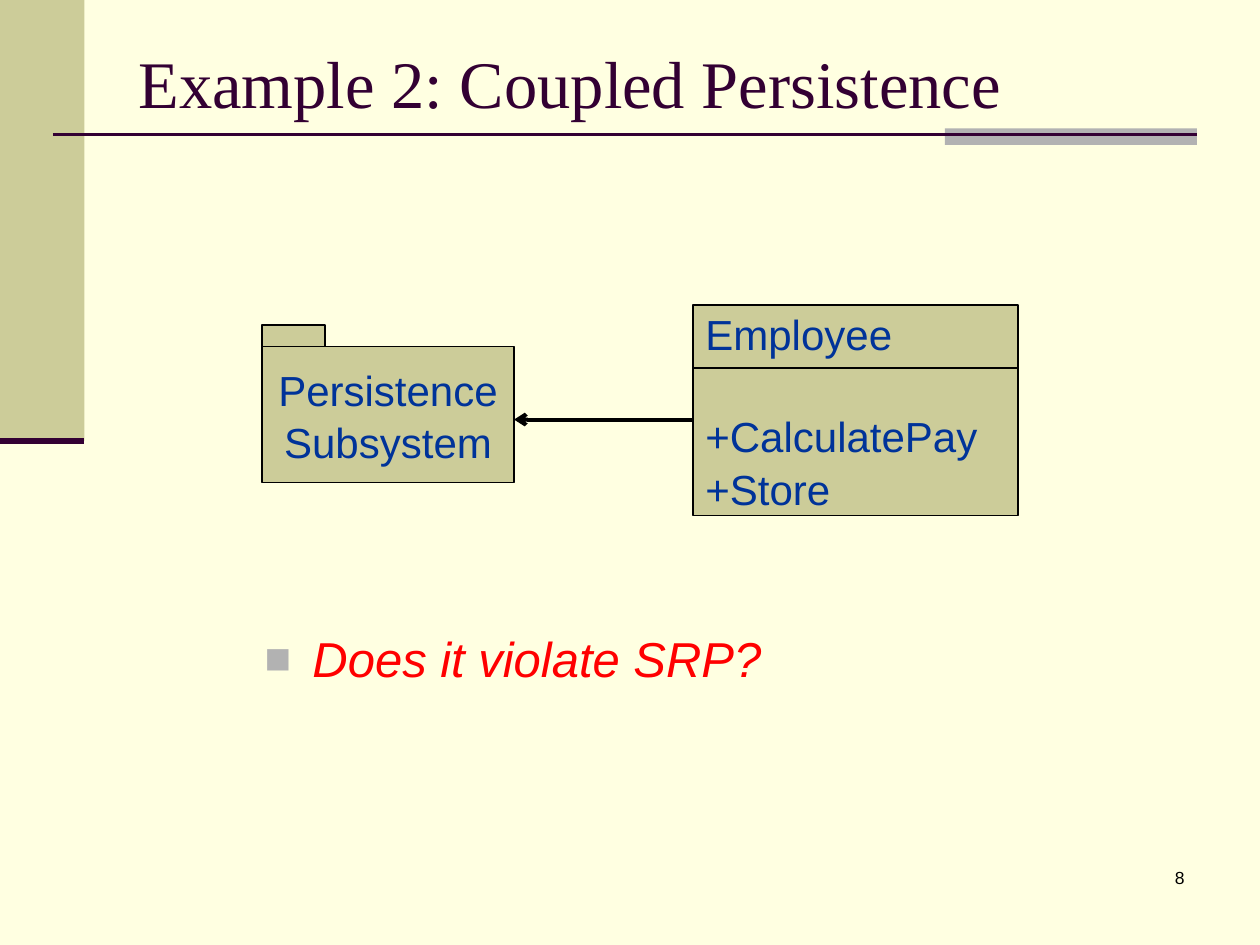
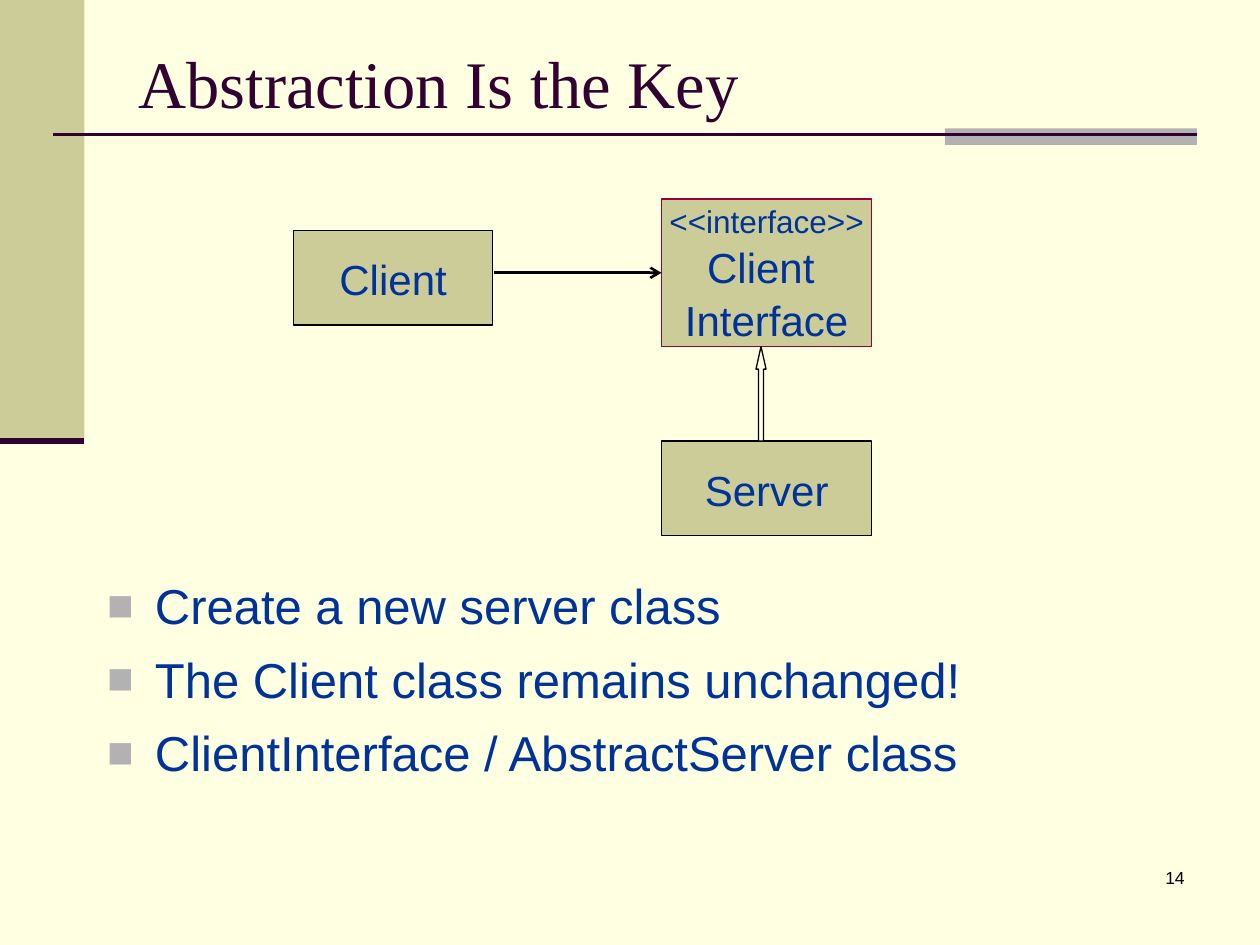
"""Build two slides on class responsibilities and abstraction."""
from lxml.etree import SubElement
from pptx import Presentation
from pptx.dml.color import RGBColor
from pptx.enum.shapes import MSO_CONNECTOR as Connector, MSO_SHAPE as Shape
from pptx.enum.text import MSO_ANCHOR as Anchor, MSO_AUTO_SIZE as AutoSize, PP_ALIGN as Align
from pptx.oxml.ns import qn
from pptx.util import Inches, Pt

CREAM, KHAKI, GREY, PLUM = "FFFFE1", "CCCC99", "B2B2B2", "330033"
BLUE, RED, CRIMSON, BLACK = "003399", "FF0000", "990033", "000000"
LINE_SPACING = 1.04


def color(value):
    """Turn a hex string into a colour."""
    return RGBColor.from_string(value)


def apply_format(target, **values):
    """Set each named attribute on the target."""
    for name, value in values.items():
        setattr(target, name, value)


def style_font(font, size, ink, name="Arial", italic=False):
    """Give a font its face, size and colour."""
    apply_format(font, name=name, size=Pt(size), italic=italic, bold=False)
    font.color.rgb = color(ink)


def place(shape, left, top, width, height):
    """Move and size a shape in inches."""
    apply_format(shape, left=Inches(left), top=Inches(top),
                 width=Inches(width), height=Inches(height))


def add_block(page, area, fill, outline=None, kind=Shape.RECTANGLE):
    """Add a flat shape with an optional thin outline."""
    block = page.shapes.add_shape(kind, *map(Inches, area))
    block.shadow.inherit = False
    block.fill.solid()
    block.fill.fore_color.rgb = color(fill)
    if outline:
        block.line.color.rgb = color(outline)
        block.line.width = Pt(0.75)
    else:
        block.line.fill.background()
    return block


def add_line(page, start, end, ink=BLACK, weight=0.75, arrow=False):
    """Add a straight line, with an open arrowhead at its end if asked."""
    line = page.shapes.add_connector(Connector.STRAIGHT, *map(Inches, start + end))
    line.line.color.rgb = color(ink)
    line.line.width = Pt(weight)
    properties = line.element.spPr
    if arrow:
        SubElement(properties.find(qn("a:ln")), qn("a:tailEnd"), type="arrow")
    SubElement(properties, qn("a:effectLst"))
    return line


def add_class_box(page, area, lines, align=Align.CENTER, outline=BLACK):
    """Add a diagram box from lines of (text, size, space before)."""
    box = add_block(page, area, KHAKI, outline)
    frame = box.text_frame
    apply_format(frame, word_wrap=align == Align.LEFT, vertical_anchor=Anchor.MIDDLE)
    for index, (text, size, gap) in enumerate(lines):
        para = frame.add_paragraph() if index else frame.paragraphs[0]
        para.text = text
        apply_format(para, alignment=align, space_before=Pt(gap), line_spacing=LINE_SPACING)
        style_font(para.font, size, BLUE)
    return box


def add_bullet(para):
    """Give a paragraph a grey square bullet and a hanging indent."""
    properties = para._p.get_or_add_pPr()
    indent = Inches(0.38)
    properties.set("marL", str(indent))
    properties.set("indent", str(-indent))
    tint = SubElement(properties, qn("a:buClr"))
    SubElement(tint, qn("a:srgbClr"), val=GREY)
    SubElement(properties, qn("a:buSzPct"), val="90000")
    SubElement(properties, qn("a:buFont"), typeface="Arial")
    SubElement(properties, qn("a:buChar"), char="■")


def fill_list(page, area, items, ink=BLUE, italic=False):
    """Write the bulleted list in the body placeholder."""
    body = page.placeholders[1]
    place(body, *area)
    frame = body.text_frame
    frame.auto_size = AutoSize.NONE
    for index, item in enumerate(items):
        para = frame.add_paragraph() if index else frame.paragraphs[0]
        para.text = item
        add_bullet(para)
        apply_format(para, space_before=Pt(7 if index else 0), line_spacing=LINE_SPACING)
        style_font(para.font, 28, ink, italic=italic)


def add_page(deck, title, number):
    """Add a slide with the shared bands, title and page number."""
    page = deck.slides.add_slide(deck.slide_layouts[1])
    add_block(page, (0, 0, 0.67, 3.5), KHAKI)
    add_block(page, (7.5, 1.02, 2, 0.13), GREY)
    add_line(page, (0.42, 1.07), (9.5, 1.07), PLUM, 1.5)
    add_line(page, (0, 3.5), (0.67, 3.5), PLUM, 3.5)

    heading = page.shapes.title
    place(heading, 1, 0.3, 8.5, 0.7)
    heading.text_frame.text = title
    apply_format(heading.text_frame, vertical_anchor=Anchor.MIDDLE, auto_size=AutoSize.NONE)
    para = heading.text_frame.paragraphs[0]
    para.alignment = Align.LEFT
    style_font(para.font, 38, PLUM, "Times New Roman")

    footer = page.shapes.add_textbox(*map(Inches, (7.42, 6.83, 2.08, 0.5)))
    footer.text_frame.word_wrap = True
    para = footer.text_frame.paragraphs[0]
    apply_format(para, text=str(number), alignment=Align.RIGHT)
    style_font(para.font, 10, BLACK)
    return page


def build_persistence(deck):
    """Show an employee class that depends on a persistence package."""
    page = add_page(deck, "Example 2: Coupled Persistence", 8)
    fill_list(page, (2, 4.92, 6.33, 0.92), ["Does it violate SRP?"], RED, italic=True)
    add_class_box(page, (2.08, 2.75, 2, 1.08),
                  [("Persistence", 24, 0), ("Subsystem", 24, 0)])
    add_block(page, (2.08, 2.58, 0.5, 0.17), KHAKI, BLACK)
    add_class_box(page, (5.5, 2.42, 2.58, 1.67),
                  [("Employee", 24, 0), ("+CalculatePay", 24, 28.6), ("+Store", 24, 0)],
                  Align.LEFT)
    add_line(page, (5.5, 2.92), (8.08, 2.92))
    add_line(page, (5.5, 3.33), (4.08, 3.33), weight=2.25, arrow=True)


def build_abstraction(deck):
    """Show a client that uses an interface which a server implements."""
    page = add_page(deck, "Abstraction Is the Key", 14)
    fill_list(page, (0.75, 4.5, 8.75, 1.75),
              ["Create a new server class",
               "The Client class remains unchanged!",
               "ClientInterface / AbstractServer class"])
    add_class_box(page, (2.33, 1.83, 1.58, 0.75), [("Client", 24, 0)])
    top, height = 1.58, 1.17
    interface = add_class_box(page, (5.25, top, 1.67, height),
                              [("<<interface>>", 18, 0), ("Client ", 24, 0), ("Interface", 24, 0)],
                              outline=CRIMSON)
    middle = top + height / 2
    usage = add_line(page, (3.92, middle), (5.25, middle), weight=1.5, arrow=True)
    usage.end_connect(interface, 1)
    add_class_box(page, (5.25, 3.5, 1.67, 0.75), [("Server", 24, 0)])
    inheritance = add_block(page, (6, 2.75, 0.08, 0.75), CREAM, BLACK, Shape.UP_ARROW)
    inheritance.adjustments[0] = 0.5
    inheritance.adjustments[1] = 2.25


def main():
    """Build and save the deck."""
    deck = Presentation()
    apply_format(deck, slide_width=Inches(10), slide_height=Inches(7.5))
    backdrop = deck.slide_master.background.fill
    backdrop.solid()
    backdrop.fore_color.rgb = color(CREAM)
    build_persistence(deck)
    build_abstraction(deck)
    deck.save("out.pptx")


if __name__ == "__main__":
    main()
